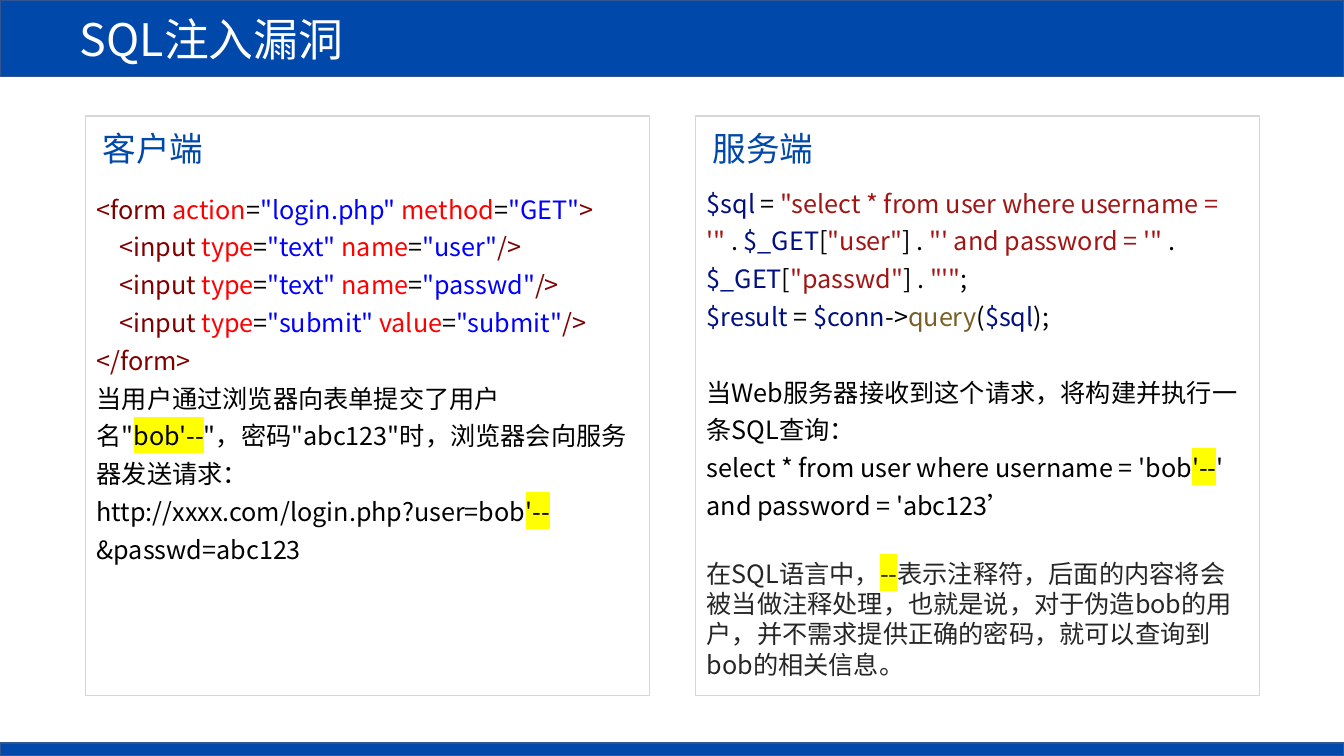
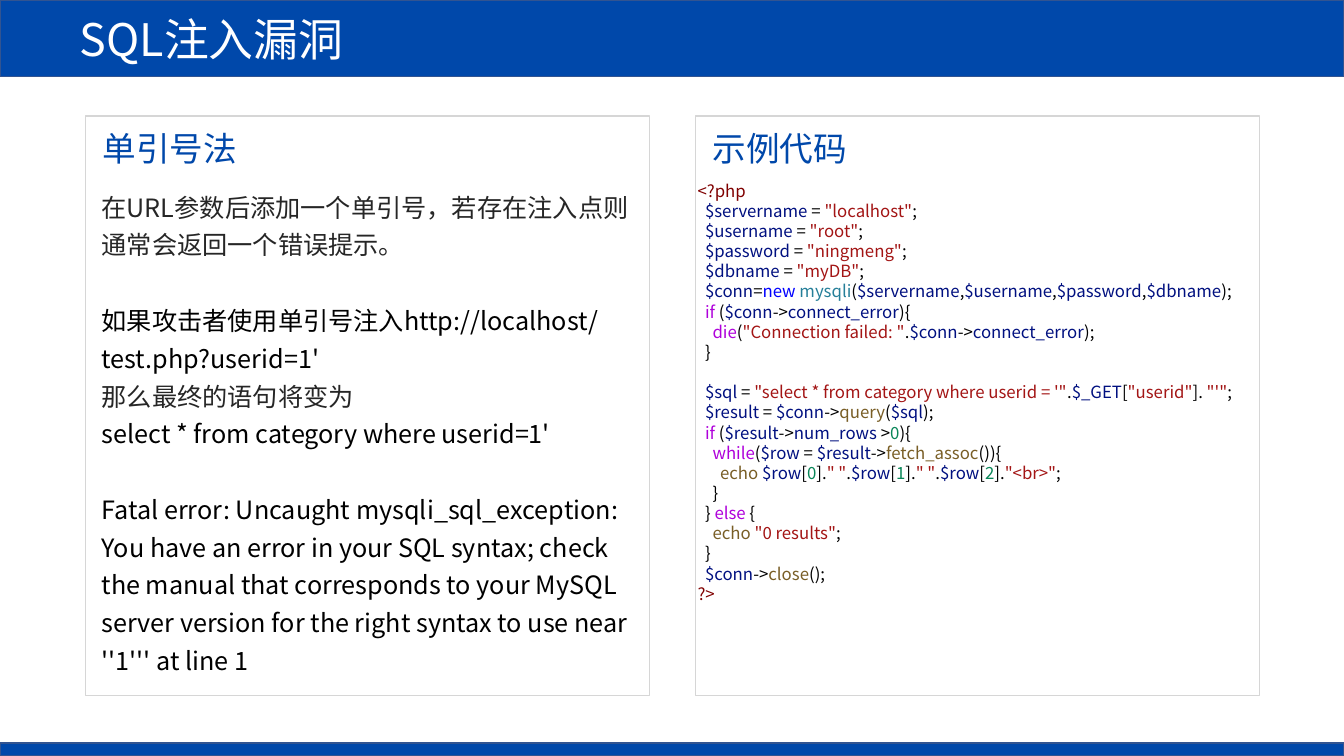
"""Build two slides on SQL injection, with coloured code beside prose."""
import itertools

import lxml.etree
import pptx
import pptx.dml.color
import pptx.enum.shapes
import pptx.enum.text
import pptx.oxml.ns
import pptx.util

FONT = "Noto Sans CJK SC"
COLOURS = {
    "band": "0048AA", "band_edge": "325491", "frame": "D6D6D6", "white": "FFFFFF",
    "ink": "000000", "grey": "262626", "marker": "FFFF00", "tag": "800000",
    "attribute": "FF0000", "blue": "0000FF", "variable": "001080", "string": "A31515",
    "call": "795E26", "control": "AF00DB", "class": "267F99", "number": "098658",
}
SYNTAX = {
    "html": {
        "string": "blue", "other": "tag", "=": "ink",
        **dict.fromkeys(["action", "method", "type", "name", "value"], "attribute"),
    },
    "php": {
        "string": "string", "other": "ink", "new": "blue", "mysqli": "class",
        **dict.fromkeys(["if", "else", "while", "die"], "control"),
        **dict.fromkeys(["echo", "query", "fetch_assoc", "close"], "call"),
        **dict.fromkeys(["connect_error", "num_rows"], "variable"),
    },
}
PROSE = {"ink": "ink", "grey": "grey", "note": "grey"}
SINGLE_SPACED = {"note"}
MARK = "¦"

TITLE = "SQL注入漏洞"
CLIENT = [[
    ("html", '<form action="login.php" method="GET">'),
    ("html", '    <input type="text" name="user"/>'),
    ("html", '    <input type="text" name="passwd"/>'),
    ("html", '    <input type="submit" value="submit"/>'),
    ("html", "</form>"),
    ("ink", "当用户通过浏览器向表单提交了用户名\"¦bob'--¦\"，密码\"abc123\"时，浏览器会向服务器发送请求："),
    ("ink", "http://xxxx.com/login.php?user=bob¦'--¦&passwd=abc123"),
]]
SERVER = [
    [
        ("php", "$sql = \"select * from user where username = '\" . $_GET[\"user\"] . "
                "\"' and password = '\" . $_GET[\"passwd\"] . \"'\";"),
        ("php", "$result = $conn->query($sql);"),
    ],
    [
        ("ink", "当Web服务器接收到这个请求，将构建并执行一条SQL查询："),
        ("ink", "select * from user where username = 'bob¦'--¦' and password = 'abc123’"),
    ],
    [
        ("note", "在SQL语言中，¦--¦表示注释符，后面的内容将会被当做注释处理，也就是说，"
                 "对于伪造bob的用户，并不需求提供正确的密码，就可以查询到bob的相关信息。"),
    ],
]
QUOTE_METHOD = [
    [("grey", "在URL参数后添加一个单引号，若存在注入点则通常会返回一个错误提示。")],
    [
        ("ink", "如果攻击者使用单引号注入http://localhost/test.php?userid=1'"),
        ("grey", "那么最终的语句将变为"),
        ("ink", "select * from category where userid=1'"),
    ],
    [
        ("ink", "Fatal error: Uncaught mysqli_sql_exception: You have an error in your SQL "
                "syntax; check the manual that corresponds to your MySQL server version "
                "for the right syntax to use near ''1''' at line 1"),
    ],
]
SAMPLE = [
    [
        ("html", "<?php"),
        ("php", '  $servername = "localhost";'),
        ("php", '  $username = "root";'),
        ("php", '  $password = "ningmeng";'),
        ("php", '  $dbname = "myDB";'),
        ("php", "  $conn=new mysqli($servername,$username,$password,$dbname);"),
        ("php", "  if ($conn->connect_error){"),
        ("php", '    die("Connection failed: ".$conn->connect_error);'),
        ("php", "  }"),
    ],
    [
        ("php", "  $sql = \"select * from category where userid = '\".$_GET[\"userid\"]. \"'\";"),
        ("php", "  $result = $conn->query($sql);"),
        ("php", "  if ($result->num_rows >0){"),
        ("php", "    while($row = $result->fetch_assoc()){"),
        ("php", '      echo $row[0]." ".$row[1]." ".$row[2]."<br>";'),
        ("php", "    }"),
        ("php", "  } else {"),
        ("php", '    echo "0 results";'),
        ("php", "  }"),
        ("php", "  $conn->close();"),
        ("html", "?>"),
    ],
]
SLIDES = [
    [
        {"heading": "客户端", "at": (0.86, 1.8, 5.58, 3.47), "size": 18, "leading": 1.25, "groups": CLIENT},
        {"heading": "服务端", "at": (6.91, 1.74, 5.59, 5.1), "size": 18, "leading": 1.25, "groups": SERVER},
    ],
    [
        {"heading": "单引号法", "at": (0.91, 1.78, 5.43, 4.99), "size": 18, "leading": 1.25,
         "groups": QUOTE_METHOD},
        {"heading": "示例代码", "at": (6.82, 1.74, 5.83, 4.34), "size": 12, "leading": 1, "groups": SAMPLE},
    ],
]

WIDTH, HEIGHT = 13.33, 7.5
TITLE_BAND, FOOT_BAND = 0.76, 0.13
FRAME_LEFT, FRAME_TOP, FRAME_WIDTH, FRAME_HEIGHT = 0.85, 1.15, 5.59, 5.75
COLUMN_STEP = 6.05
HEADING_SIZE, LINE_HEIGHT = 24, 1.2


def inches(*lengths):
    return [pptx.util.Inches(length) for length in lengths]


def rgb(name):
    return pptx.dml.color.RGBColor.from_string(COLOURS[name])


def tokens(line, syntax):
    start = 0
    while start < len(line):
        first, end = line[start], start + 1
        if first == '"':
            end = line.index('"', end) + 1
            colour = syntax["string"]
        elif first.isalnum() or first in "$_":
            while end < len(line) and (line[end].isalnum() or line[end] == "_"):
                end += 1
            word = line[start:end]
            if first == "$":
                colour = "variable"
            elif word.isdigit():
                colour = "number"
            else:
                colour = syntax.get(word, syntax["other"])
        else:
            colour = syntax.get(first, syntax["other"])
        yield line[start:end], colour
        start = end


def spans(kind, text):
    if kind in PROSE:
        return [(part, PROSE[kind], index % 2 == 1) for index, part in enumerate(text.split(MARK))]
    runs = itertools.groupby(tokens(text, SYNTAX[kind]), key=lambda token: token[1])
    return [("".join(part for part, _ in run), colour, False) for colour, run in runs]


def set_font(para, size):
    para.font.size = pptx.util.Pt(size)
    para.font.name = FONT
    defaults = para._p.pPr.find(pptx.oxml.ns.qn("a:defRPr"))
    lxml.etree.SubElement(defaults, pptx.oxml.ns.qn("a:ea"), typeface=FONT)


def add_span(para, text, colour, marked=False):
    span = para.add_run()
    span.text = text
    span.font.color.rgb = rgb(colour)
    if marked:
        properties = span._r.get_or_add_rPr()
        highlight = lxml.etree.SubElement(properties, pptx.oxml.ns.qn("a:highlight"))
        lxml.etree.SubElement(highlight, pptx.oxml.ns.qn("a:srgbClr"), val=COLOURS["marker"])


def paint(shape, fill, edge):
    if fill:
        shape.fill.solid()
        shape.fill.fore_color.rgb = rgb(fill)
    else:
        shape.fill.background()
    shape.line.color.rgb = rgb(edge)
    shape.line.width = pptx.util.Pt(1)


def add_rectangle(page, at, fill, edge):
    shape = page.shapes.add_shape(pptx.enum.shapes.MSO_SHAPE.RECTANGLE, *inches(*at))
    shape.shadow.inherit = False
    paint(shape, fill, edge)


def add_text_box(page, at, wrap):
    frame = page.shapes.add_textbox(*inches(*at)).text_frame
    frame.word_wrap = wrap
    frame.auto_size = pptx.enum.text.MSO_AUTO_SIZE.SHAPE_TO_FIT_TEXT
    return frame


def add_bands(page):
    title = page.shapes.title
    title.left, title.top, title.width, title.height = inches(0, 0, WIDTH, TITLE_BAND)
    paint(title, "band", "band_edge")
    frame = title.text_frame
    frame.auto_size = pptx.enum.text.MSO_AUTO_SIZE.NONE
    frame.vertical_anchor = pptx.enum.text.MSO_ANCHOR.MIDDLE
    frame.margin_left = pptx.util.Inches(0.79)
    para = frame.paragraphs[0]
    para.alignment = pptx.enum.text.PP_ALIGN.LEFT
    set_font(para, 32)
    add_span(para, TITLE, "white")
    add_rectangle(page, (0, HEIGHT - FOOT_BAND, WIDTH, FOOT_BAND), "band", "band_edge")


def add_panel(page, column, panel):
    left = FRAME_LEFT + column * COLUMN_STEP
    add_rectangle(page, (left, FRAME_TOP, FRAME_WIDTH, FRAME_HEIGHT), None, "frame")

    heading_width = len(panel["heading"]) * HEADING_SIZE / 72 + 0.2
    heading = add_text_box(page, (left + 0.07, FRAME_TOP + 0.07, heading_width, 0.5), False)
    set_font(heading.paragraphs[0], HEADING_SIZE)
    add_span(heading.paragraphs[0], panel["heading"], "band")

    body = add_text_box(page, panel["at"], True)
    size, leading = panel["size"], panel["leading"]
    para = body.paragraphs[0]
    for group_index, group in enumerate(panel["groups"]):
        for line_index, (kind, text) in enumerate(group):
            if group_index or line_index:
                para = body.add_paragraph()
            if group_index and not line_index:
                para.space_before = pptx.util.Pt(round(size * LINE_HEIGHT * leading, 1))
            para.line_spacing = 1.0 if kind in SINGLE_SPACED else float(leading)
            set_font(para, size)
            for span in spans(kind, text):
                add_span(para, *span)


def main():
    deck = pptx.Presentation()
    deck.slide_width, deck.slide_height = inches(WIDTH, HEIGHT)
    for panels in SLIDES:
        page = deck.slides.add_slide(deck.slide_layouts[5])
        add_bands(page)
        for column, panel in enumerate(panels):
            add_panel(page, column, panel)
    deck.save("out.pptx")


if __name__ == "__main__":
    main()
